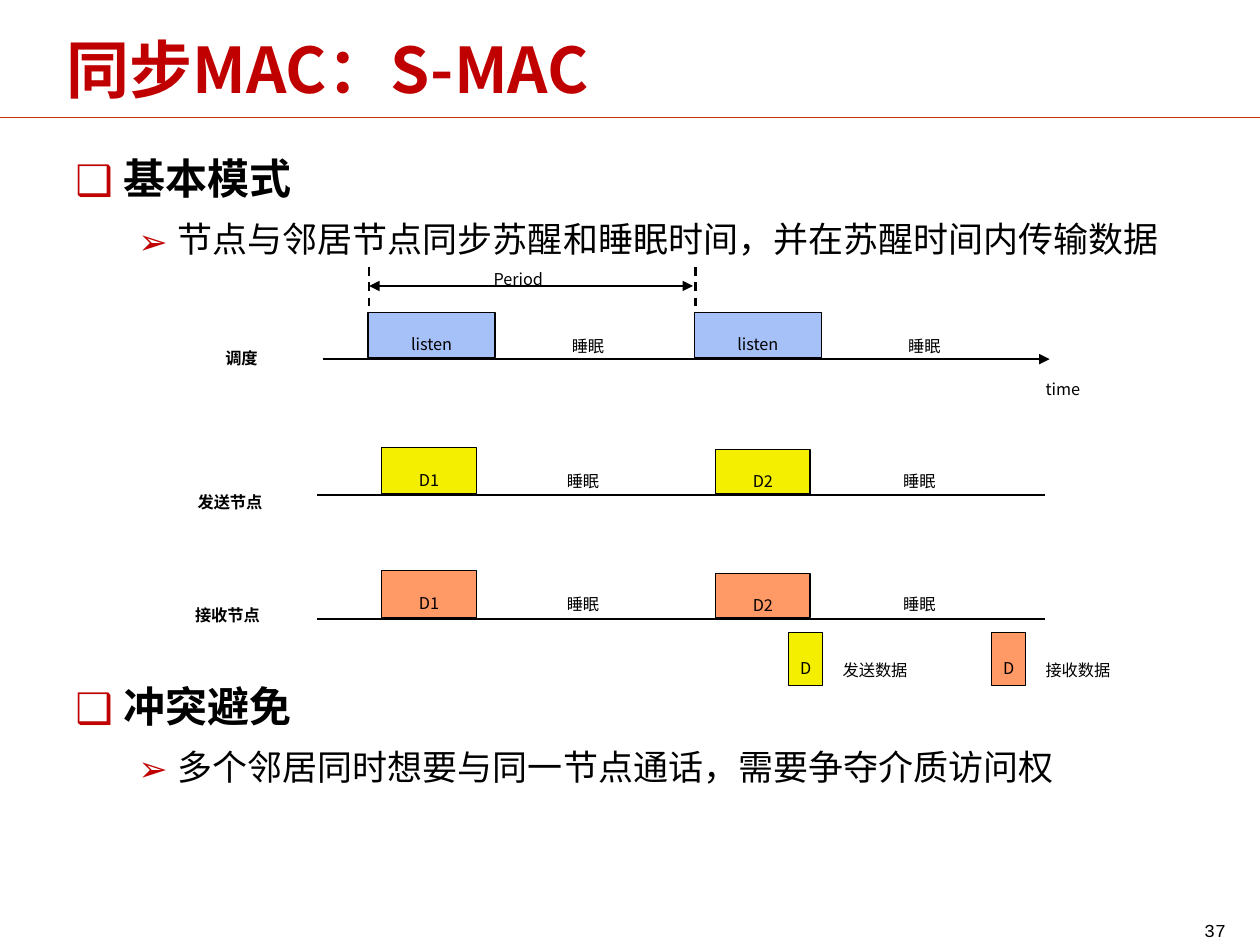
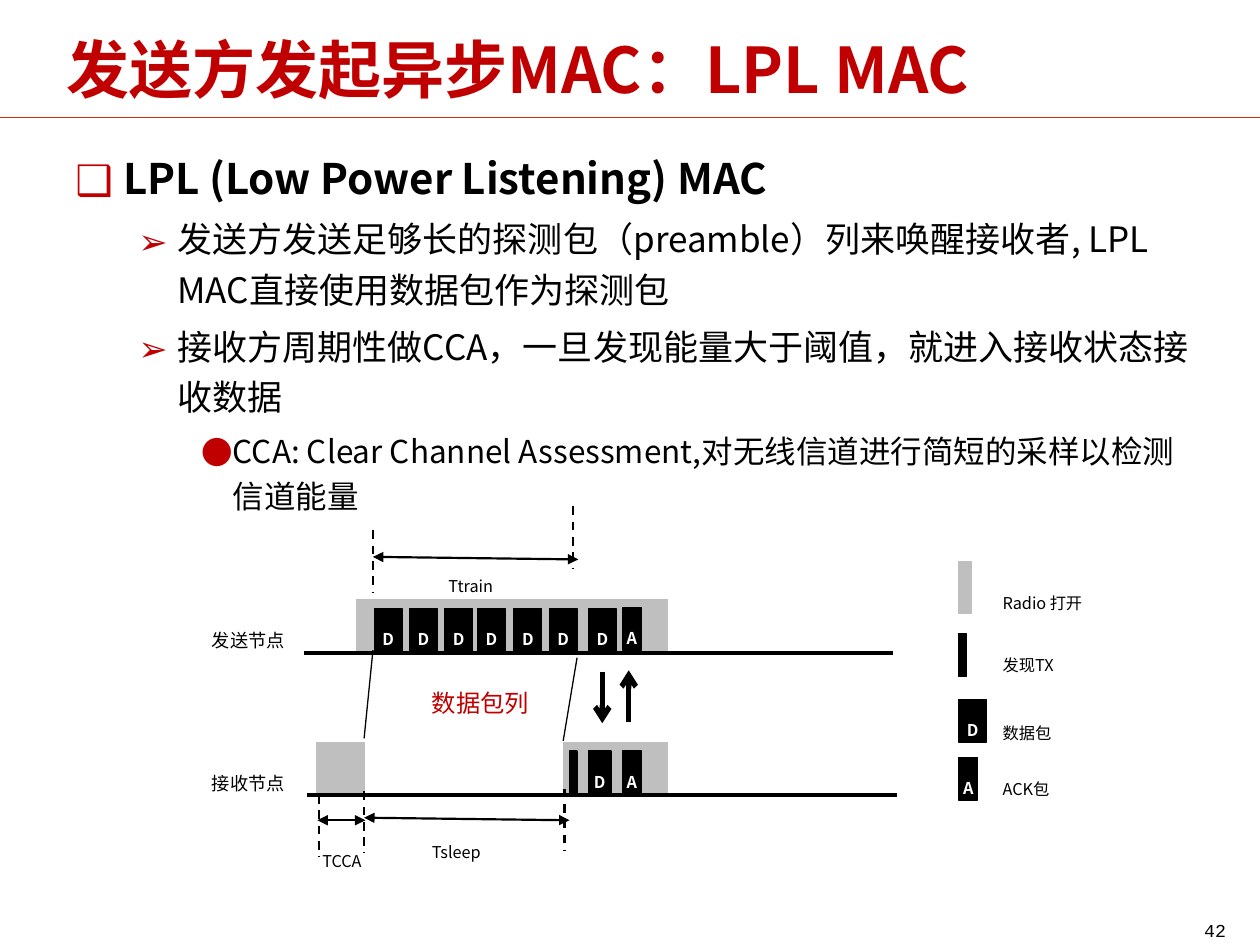
import pptx
import pptx.util
import pptx.dml.color
import pptx.enum.dml
import pptx.enum.shapes
import pptx.enum.text
import pptx.oxml
import pptx.oxml.ns

RGBColor = pptx.dml.color.RGBColor
BLACK = RGBColor(0x00, 0x00, 0x00)
WHITE = RGBColor(0xFF, 0xFF, 0xFF)
RED = RGBColor(0xC0, 0x00, 0x00)
RULE = RGBColor(0xCC, 0x33, 0x00)
BLUE = RGBColor(0xA6, 0xC1, 0xF8)
YELLOW = RGBColor(0xF4, 0xEE, 0x00)
ORANGE = RGBColor(0xFF, 0x99, 0x66)
GREY = RGBColor(0xBF, 0xBF, 0xBF)

FONT = "Noto Sans CJK SC"
NUMBER_FONT = "Courier New"
COLUMNS, ROWS = 100, 75

ALIGN = pptx.enum.text.PP_ALIGN
MIDDLE = pptx.enum.text.MSO_ANCHOR.MIDDLE

# Outline levels: bullet, size, bold, left margin, hanging indent
LEVELS = (
    ("❑", 24, True, 0.38, 0.38),
    ("➢", 20, False, 0.81, 0.31),
    ("●", 18, False, 1.25, 0.25),
)
GAP = 3.8  # points between outline paragraphs


class Slides:
    """Shared style and the slide being filled; lengths are grid columns and rows."""

    def __init__(self):
        self.deck = pptx.Presentation()
        self.deck.slide_width = pptx.util.Inches(10)
        self.deck.slide_height = pptx.util.Inches(7.5)
        self.page = None

    def column(self, count):
        return round(self.deck.slide_width * count / COLUMNS)

    def row(self, count):
        return round(self.deck.slide_height * count / ROWS)

    def frame(self, left, top, width, height):
        return self.column(left), self.row(top), self.column(width), self.row(height)

    def new_page(self, title, number):
        self.page = self.deck.slides.add_slide(self.deck.slide_layouts[6])
        self.line((0, 9.3), (COLUMNS, 9.3), 0.25, color=RULE)
        box = self.box((4.3, 0.4, 90.1, 10), title)
        box.text_frame.vertical_anchor = MIDDLE
        self.style(box.text_frame.paragraphs[0], 36, RED, bold=True)
        box = self.box((90, 71.7, 8.3, 2.5), str(number))
        box.text_frame.vertical_anchor = MIDDLE
        para = box.text_frame.paragraphs[0]
        para.alignment = ALIGN.RIGHT
        self.style(para, 18, lowered=True, font=NUMBER_FONT)

    def style(self, para, size, color=BLACK, bold=False, lowered=False, font=FONT):
        for span in para.runs:
            span.font.size = pptx.util.Pt(size)
            span.font.bold = bold
            span.font.color.rgb = color
            span.font.name = font
            properties = span._r.get_or_add_rPr()
            east_asian = pptx.oxml.parse_xml(
                f'<a:ea {pptx.oxml.ns.nsdecls("a")} typeface="{font}"/>')
            properties.find(pptx.oxml.ns.qn("a:latin")).addnext(east_asian)
            if lowered:
                properties.set("baseline", "-25000")

    def box(self, place, text=""):
        box = self.page.shapes.add_textbox(*self.frame(*place))
        box.text_frame.word_wrap = True
        box.text_frame.text = text
        return box

    def outline(self, items):
        """Items are (level, text, points before)."""
        text_frame = self.box((5, 10.8, 90.8, 59.2)).text_frame
        for index, (level, text, before) in enumerate(items):
            bullet, size, bold, margin, hanging = LEVELS[level]
            para = text_frame.paragraphs[0] if index == 0 else text_frame.add_paragraph()
            para.text = text
            para.level = level
            para.line_spacing = 1.2
            para.space_before = pptx.util.Pt(before)
            properties = para._p.get_or_add_pPr()
            properties.set("marL", str(pptx.util.Inches(margin)))
            properties.set("indent", str(-pptx.util.Inches(hanging)))
            names = pptx.oxml.ns.nsdecls("a")
            for mark in (f'<a:buClr {names}><a:srgbClr val="{RED}"/></a:buClr>',
                         f'<a:buFont {names} typeface="{FONT}"/>',
                         f'<a:buChar {names} char="{bullet}"/>'):
                properties.append(pptx.oxml.parse_xml(mark))
            self.style(para, size, bold=bold)

    def label(self, left, top, width, text, size=16, color=BLACK, bold=False,
              align=ALIGN.LEFT, height=3.7):
        box = self.box((left, top, width, height), text)
        box.text_frame.word_wrap = False
        box.text_frame.auto_size = pptx.enum.text.MSO_AUTO_SIZE.SHAPE_TO_FIT_TEXT
        para = box.text_frame.paragraphs[0]
        para.alignment = align
        self.style(para, size, color, bold, lowered=True)

    def block(self, place, fill, text="", edge=BLACK, color=BLACK, bold=False):
        block = self.page.shapes.add_shape(
            pptx.enum.shapes.MSO_SHAPE.RECTANGLE, *self.frame(*place))
        block.shadow.inherit = False
        block.fill.solid()
        block.fill.fore_color.rgb = fill
        block.line.color.rgb = edge
        block.line.width = pptx.util.Pt(0.75)
        if text:
            block.text_frame.text = text
            block.text_frame.word_wrap = False
            block.text_frame.vertical_anchor = MIDDLE
            para = block.text_frame.paragraphs[0]
            para.alignment = ALIGN.CENTER
            self.style(para, 16, color, bold, lowered=True)

    def radio(self, left, top, width):
        self.block((left, top, width, 4.1), GREY, edge=GREY)

    def packet(self, left, top, width, text=""):
        self.block((left, top, width, 3.4), BLACK, text, color=WHITE, bold=True)

    def line(self, start, end, width=1.25, head=None, tail=None, dashed=False, color=BLACK):
        line = self.page.shapes.add_connector(
            pptx.enum.shapes.MSO_CONNECTOR.STRAIGHT,
            self.column(start[0]), self.row(start[1]),
            self.column(end[0]), self.row(end[1]))
        line.line.color.rgb = color
        line.line.width = pptx.util.Pt(width)
        if dashed:
            line.line.dash_style = pptx.enum.dml.MSO_LINE.DASH
        names = pptx.oxml.ns.nsdecls("a")
        properties = line._element.spPr
        stroke = properties.find(pptx.oxml.ns.qn("a:ln"))
        for tag, kind in (("headEnd", head), ("tailEnd", tail)):
            if kind:
                stroke.append(pptx.oxml.parse_xml(f'<a:{tag} {names} type="{kind}"/>'))
        properties.append(pptx.oxml.parse_xml(f"<a:effectLst {names}/>"))

    def tick(self, left, top, height=4.9):
        self.line((left, top), (left, top + height), dashed=True)

    def span_arrow(self, start, end):
        self.line(start, end, head="triangle", tail="triangle")


def sync_mac(slides):
    slides.new_page("同步MAC：S-MAC", 37)
    slides.outline((
        (0, "基本模式", 0),
        (1, "节点与邻居节点同步苏醒和睡眠时间，并在苏醒时间内传输数据", GAP),
        (0, "冲突避免", 234.5),
        (1, "多个邻居同时想要与同一节点通话，需要争夺介质访问权", GAP),
    ))

    # Schedule
    slides.line((25.6, 28.5), (83.3, 28.5), tail="triangle")
    for left in (29.2, 55.1):
        slides.tick(left + 0.1, 21.2, 4.8)
        slides.block((left, 24.8, 10.1, 3.6), BLUE, "listen")
    for left in (44.4, 71.1):
        slides.label(left, 24.7, 6.5, "睡眠")
    slides.span_arrow((29.3, 22.7), (55, 22.7))
    slides.label(38.2, 19.4, 9, "Period")
    slides.label(82, 28.1, 6.8, "time")
    slides.label(16.9, 25.7, 6.5, "调度", bold=True)

    # Sender and receiver timelines
    for axis, fill in ((39.3, YELLOW), (49.1, ORANGE)):
        slides.line((25.2, axis), (82.9, axis))
        for left in (44, 70.7):
            slides.label(left, axis - 3.9, 6.5, "睡眠")
        slides.block((30.3, axis - 3.8, 7.5, 3.7), fill, "D1")
        slides.block((56.8, axis - 3.6, 7.5, 3.5), fill, "D2")
    slides.label(14.7, 37.1, 11.1, "发送节点", bold=True)
    slides.label(14.5, 46.1, 11.4, "接收节点", bold=True)

    # Legend
    for left, fill, text in ((62.6, YELLOW, "发送数据"), (78.7, ORANGE, "接收数据")):
        slides.block((left, 50.2, 2.7, 4.2), fill, "D")
        slides.label(left + 3.3, 50.4, 11, text)


def low_power_listening(slides):
    slides.new_page("发送方发起异步MAC：LPL MAC", 42)
    slides.outline((
        (0, "LPL (Low Power Listening) MAC", 0),
        (1, "发送方发送足够长的探测包（preamble）列来唤醒接收者, "
            "LPL MAC直接使用数据包作为探测包", GAP),
        (1, "接收方周期性做CCA，一旦发现能量大于阈值，就进入接收状态接收数据", GAP),
        (2, "CCA: Clear Channel Assessment,对无线信道进行简短的采样以检测信道能量", GAP),
    ))

    # Radio-on periods and timelines
    for left, top, width in ((28.3, 47.6, 24.7), (25.1, 58.9, 3.8), (44.7, 58.9, 8.3)):
        slides.radio(left, top, width)
    for left, axis, text in ((24.1, 51.8, "发送节点"), (24.4, 63.1, "接收节点")):
        slides.line((left, axis), (left + 46.8, axis), 2.25)
        slides.label(11.5, axis - 4, 12.1, text, size=18, align=ALIGN.RIGHT, height=4)

    # Packets
    for left in (29.7, 32.5, 35.3, 37.9, 40.8, 43.6, 46.7):
        slides.packet(left, 48.3, 2.2, "D")
    slides.packet(45.2, 59.6, 0.6)
    slides.packet(46.7, 59.6, 1.8, "D")
    for top in (48.2, 59.6):
        slides.packet(49.4, top, 1.5, "A")

    # Packet train and exchange between the nodes
    slides.label(33.3, 51.9, 11.2, "数据包列", size=24, color=RED)
    slides.line((29.6, 51.6), (28.9, 58.6), 0.75)
    slides.line((45.8, 52.2), (44.7, 58.8), 0.75)
    slides.line((47.8, 53.3), (47.8, 57.4), 3, tail="arrow")
    slides.line((49.9, 53.2), (49.9, 57.3), 3, head="arrow")

    # Durations
    for left, top in ((28.9, 62.8), (44.8, 62.6), (25.3, 63.1), (29.6, 42.1), (45.5, 40.2)):
        slides.tick(left, top)
    slides.span_arrow((28.9, 64.9), (45.2, 65.1))
    slides.span_arrow((25.2, 65.1), (29, 65.1))
    slides.span_arrow((29.6, 44.2), (45.9, 44.4))
    slides.label(33.3, 64.9, 7, "Tsleep")
    slides.label(24.6, 65.6, 6.6, "TCCA")
    slides.label(34.6, 43.8, 6.6, "Ttrain")

    # Legend
    key = 76.1
    slides.radio(key, 44.6, 1)
    for top, width, letter in ((50.3, 0.6, ""), (55.5, 2.2, "D"), (60.1, 1.5, "A")):
        slides.packet(key, top, width, letter)
    for top, width, text in ((45.1, 13.3, "Radio 打开"), (50, 9.4, "发现TX"),
                             (55.4, 8.8, "数据包"), (59.9, 8.9, "ACK包")):
        slides.label(key + 2.5, top, width, text)


def main():
    slides = Slides()
    sync_mac(slides)
    low_power_listening(slides)
    slides.deck.save("out.pptx")


if __name__ == "__main__":
    main()
